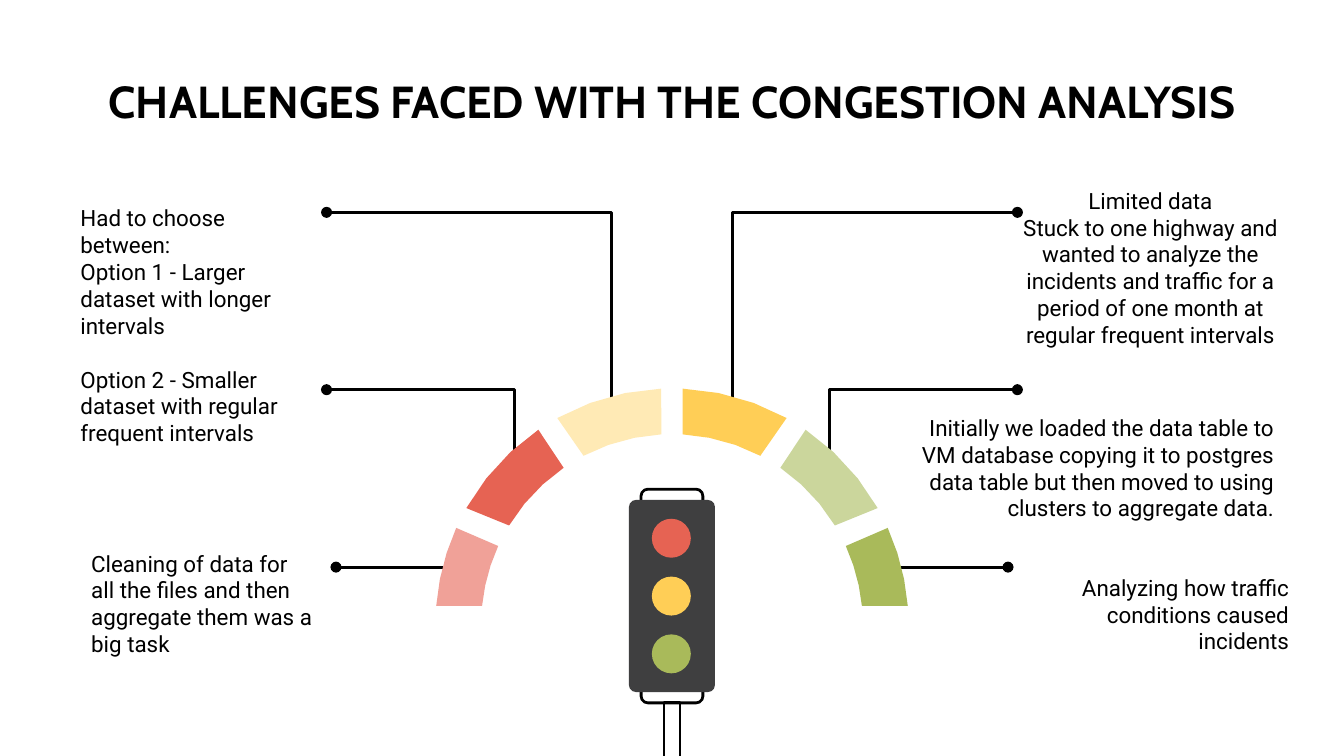
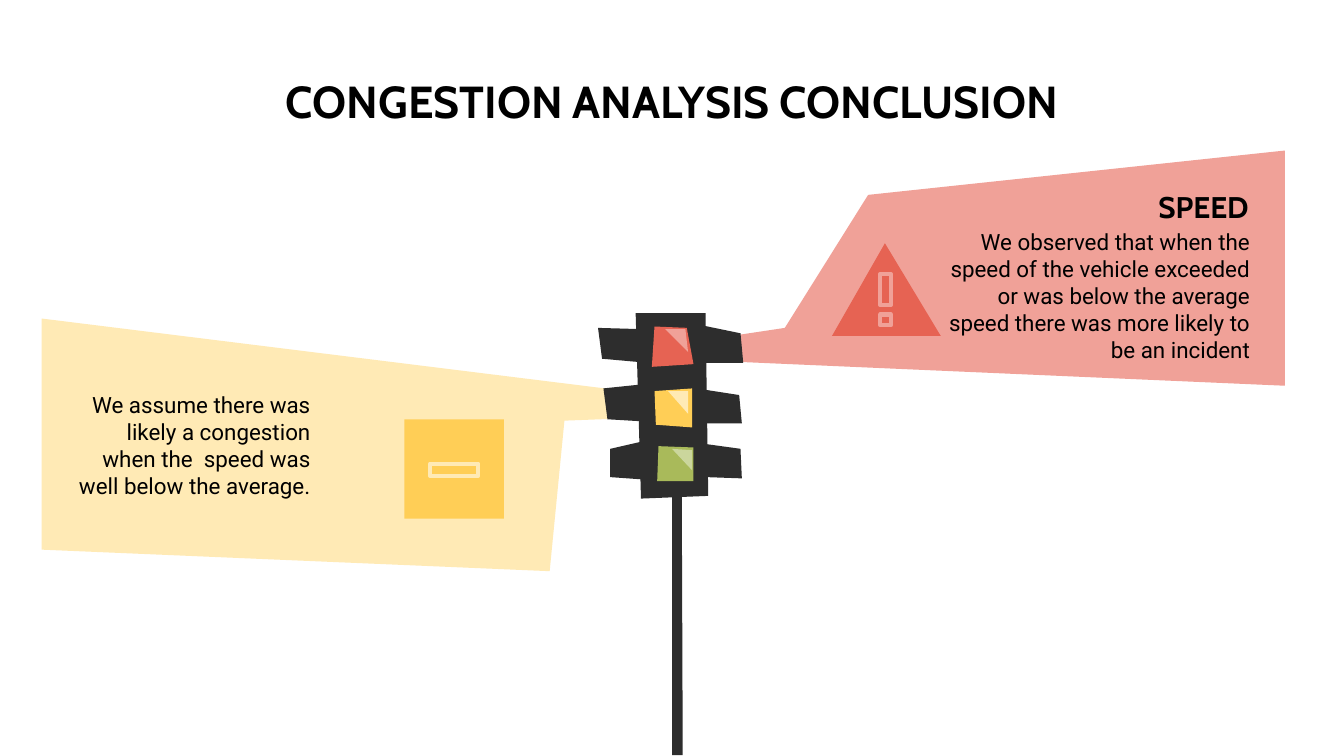
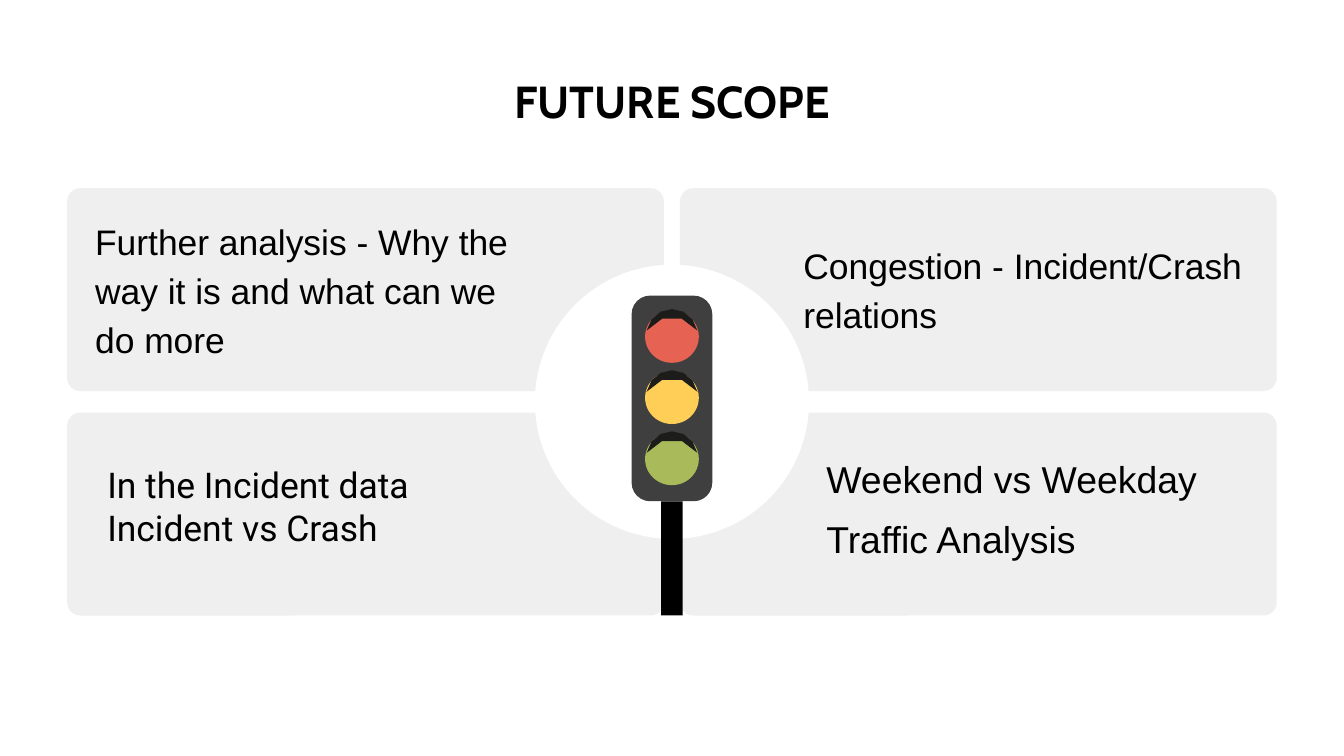
from math import cos, radians, sin

from pptx import Presentation
from pptx.dml.color import RGBColor
from pptx.enum.shapes import MSO_CONNECTOR, MSO_SHAPE
from pptx.enum.text import MSO_ANCHOR, PP_ALIGN
from pptx.oxml.ns import qn
from pptx.oxml.xmlchemy import OxmlElement
from pptx.util import Inches, Pt

LEFT, CENTER, RIGHT = PP_ALIGN.LEFT, PP_ALIGN.CENTER, PP_ALIGN.RIGHT
TOP, MIDDLE = MSO_ANCHOR.TOP, MSO_ANCHOR.MIDDLE
STRAIGHT = MSO_CONNECTOR.STRAIGHT
RECTANGLE, OVAL = MSO_SHAPE.RECTANGLE, MSO_SHAPE.OVAL
ROUNDED, TRIANGLE = MSO_SHAPE.ROUNDED_RECTANGLE, MSO_SHAPE.ISOSCELES_TRIANGLE
ROUNDED_TOP = MSO_SHAPE.ROUND_2_SAME_RECTANGLE

COLORS = {
    "black": "000000", "white": "FFFFFF", "card": "EFEFEF",
    "red": "E66353", "yellow": "FFCE56", "green": "A9BA5A",
    "light red": "F0A198", "light yellow": "FFEAB5", "light green": "CBD69C",
    "housing": "3F3F40", "silhouette": "2D2D2D", "hood": "1C1C1B",
}
LAMPS = ("red", "yellow", "green")
PAGE_WIDTH, PAGE_HEIGHT = Inches(10), Inches(5.625)


def rgb(name):
    return RGBColor.from_string(COLORS[name])


def paint(shape, fill=None, line=None, width=1.5):
    shape.shadow.inherit = False
    if fill:
        shape.fill.solid()
        shape.fill.fore_color.rgb = rgb(fill)
    else:
        shape.fill.background()
    if line:
        shape.line.color.rgb = rgb(line)
        shape.line.width = Pt(width)
    else:
        shape.line.fill.background()


def add_preset(page, kind, box, fill=None, line=None, width=1.5, adjustments=()):
    shape = page.shapes.add_shape(kind, *map(Inches, box))
    for index, value in enumerate(adjustments):
        shape.adjustments[index] = value
    paint(shape, fill, line, width)
    return shape


def add_outline(page, points, left=0, top=0, fill=None, line=None, close=True):
    """Draw straight segments through points measured from (left, top)."""
    places = [(Inches(left + x), Inches(top + y)) for x, y in points]
    builder = page.shapes.build_freeform(*places[0])
    builder.add_line_segments(places[1:], close=close)
    shape = builder.convert_to_shape()
    paint(shape, fill, line)
    return shape


def add_text(page, box, lines, size=12, font="Roboto", align=LEFT, anchor=TOP,
             bold=False, spacing=None):
    frame = page.shapes.add_textbox(*map(Inches, box)).text_frame
    frame.word_wrap = True
    frame.vertical_anchor = anchor
    frame.margin_left = frame.margin_right = Inches(0.1)
    frame.margin_top = frame.margin_bottom = Inches(0.1)
    frame.text = "\n".join(lines)
    for para in frame.paragraphs:
        para.alignment = align
        if spacing:
            para.line_spacing = spacing
        for span in para.runs:
            span.font.name = font
            span.font.size = Pt(size)
            span.font.bold = bold
            span.font.color.rgb = rgb("black")
    return frame


def add_page(deck):
    page = deck.slides.add_slide(deck.slide_layouts[6])
    page.background.fill.solid()
    page.background.fill.fore_color.rgb = rgb("white")
    return page


def add_title(page, title):
    add_text(page, (0.5, 0.45, 9, 0.44), [title], 24, "Cabin", CENTER, bold=True)


def arc_points(center_x, center_y, radius, start, end, steps=3):
    """Points on a circle between two angles in degrees, counterclockwise from the right."""
    angles = [radians(start + (end - start) * i / steps) for i in range(steps + 1)]
    return [(center_x + radius * cos(a), center_y - radius * sin(a)) for a in angles]


def add_oval_ends(shape):
    line = shape.element.spPr.find(qn("a:ln"))
    for tag in ("a:headEnd", "a:tailEnd"):
        end = OxmlElement(tag)
        end.set("type", "oval")
        line.append(end)


def add_leaders(page, middle):
    """Lines from the callouts to the arch, mirrored about the middle."""
    for side in (-1, 1):
        ends = (middle + side * 1.57, 4.22, middle + side * 2.5, 4.22)
        leader = page.shapes.add_connector(STRAIGHT, *map(Inches, ends))
        leader.line.color.rgb = rgb("black")
        leader.line.width = Pt(1.5)
        add_oval_ends(leader)
        leader.element.spPr.append(OxmlElement("a:effectLst"))
    for reach, top, foot in ((0.45, 1.58, 3.07), (1.17, 2.9, 3.54)):
        for side in (-1, 1):
            points = [(side * reach, foot), (side * reach, top), (side * 2.57, top)]
            add_oval_ends(add_outline(page, points, middle, line="black", close=False))


def add_arch(page, center_x, center_y):
    """Three segments on each side, given by their outer and inner angles."""
    segments = (
        ((4.6, 24.2), (5.7, 24.4), ("green", "light red")),
        ((29.6, 55.6), (31.4, 55.4), ("light green", "red")),
        ((61, 87.4), (62.4, 86.8), ("yellow", "light yellow")),
    )
    for outer, inner, colors in segments:
        points = arc_points(0, 0, 1.76, *outer) + arc_points(0, 0, 1.42, *inner[::-1])
        for side, color in zip((1, -1), colors):
            add_outline(page, [(side * x, y) for x, y in points],
                        center_x, center_y, color)


def add_framed_light(page, left, top):
    for offset, turn in ((0, 0), (1.49, 180)):
        bracket = add_preset(page, ROUNDED_TOP, (left + 0.09, top + offset, 0.46, 0.1),
                             line="black", adjustments=(0.5, 0))
        bracket.rotation = turn
    add_preset(page, ROUNDED, (left, top + 0.08, 0.64, 1.43), "housing",
               adjustments=(0.083,))
    add_preset(page, RECTANGLE, (left + 0.26, top + 1.59, 0.12, 0.41), line="black")
    for row, color in enumerate(LAMPS):
        add_preset(page, OVAL, (left + 0.17, top + 0.22 + 0.43 * row, 0.29, 0.29), color)


def build_challenges(deck):
    page = add_page(deck)
    add_title(page, "CHALLENGES FACED WITH THE CONGESTION ANALYSIS")
    callouts = (
        ((7.35, 1.29, 2.42, 1.77), CENTER, [
            "Limited data",
            "Stuck to one highway and wanted to analyze the incidents and traffic "
            "for a period of one month at regular frequent intervals"]),
        ((7.57, 4.17, 2.12, 0.9), RIGHT, [
            "Analyzing how traffic conditions caused incidents"]),
        ((6.75, 2.98, 2.83, 1.1), RIGHT, [
            "Initially we loaded the data table to VM database copying it to postgres "
            "data table but then moved to using clusters to aggregate data."]),
        ((0.58, 3.99, 1.85, 0.73), LEFT, [
            "Cleaning of data for all the files and then aggregate them was a big task"]),
    )
    for box, align, lines in callouts:
        add_text(page, box, lines, align=align)
    options = add_text(page, (0.5, 1.42, 1.85, 1.77), [
        "Had to choose between:",
        "Option 1 - Larger dataset with longer intervals",
        "Option 2 - Smaller dataset with regular frequent intervals"])
    options.paragraphs[2].space_before = Pt(14.5)
    add_leaders(page, 5)
    add_arch(page, 5, 4.65)
    add_framed_light(page, 4.68, 3.64)


def add_speed_beam(page, left, top):
    add_outline(page, [(0.01, 1.38), (0.41, 1.32), (1.03, 0.33), (4.13, 0),
                       (4.13, 1.75), (0, 1.57)], left, top, "light red")
    add_text(page, (left + 2.03, top + 0.27, 1.93, 0.3), ["SPEED"], 16, "Cabin",
             RIGHT, MIDDLE, bold=True)
    add_text(page, (left + 1.52, top + 0.57, 2.45, 1.02), [
        "We observed that when the speed of the vehicle exceeded or was below the "
        "average speed there was more likely to be an incident"],
        align=RIGHT, anchor=MIDDLE)
    add_preset(page, TRIANGLE, (left + 0.76, top + 0.69, 0.81, 0.69), "red",
               adjustments=(0.487,))
    for offset, height in ((0.92, 0.23), (1.22, 0.08)):
        add_preset(page, RECTANGLE, (left + 1.12, top + offset, 0.08, height),
                   "red", "light red", 2.25)


def add_congestion_beam(page, left, top):
    add_outline(page, [(0, 0), (0, 1.72), (3.78, 1.88), (3.89, 0.76),
                       (4.42, 0.74), (4.35, 0.54)], left, top, "light yellow")
    add_preset(page, RECTANGLE, (left + 2.7, top + 0.75, 0.74, 0.74), "yellow")
    add_preset(page, RECTANGLE, (left + 2.89, top + 1.08, 0.36, 0.09),
               line="light yellow", width=2.25)
    add_text(page, (left + 0.17, top + 0.36, 1.93, 1.16), [
        "We assume there was likely a congestion when the  speed was well below "
        "the average."], align=RIGHT, anchor=MIDDLE)


def add_crooked_light(page, left, top):
    body = [(0.28, 0), (0.32, 1.38), (0.82, 1.36), (0.8, 0)]
    pole = [(0.55, 0.53), (0.55, 3.29), (0.63, 3.29), (0.62, 0.53)]
    visors = [
        [(0, 0.11), (0.03, 0.34), (0.37, 0.37), (0.35, 0.12)],
        [(0.33, 0.53), (0.04, 0.56), (0.07, 0.79), (0.41, 0.81)],
        [(0.35, 0.95), (0.09, 1.01), (0.09, 1.22), (0.37, 1.24)],
        [(0.77, 0.97), (0.78, 1.22), (1.07, 1.23), (1.06, 1.01)],
        [(0.73, 0.56), (0.74, 0.82), (1.07, 0.82), (1.05, 0.61)],
        [(0.77, 0.09), (0.74, 0.37), (1.08, 0.37), (1.06, 0.15)],
    ]
    lenses = [
        [(0.66, 0.11), (0.42, 0.1), (0.4, 0.4), (0.71, 0.38)],
        [(0.42, 0.58), (0.7, 0.56), (0.7, 0.85), (0.43, 0.83)],
        [(0.45, 0.99), (0.71, 1), (0.71, 1.25), (0.44, 1.25)],
    ]
    shines = [
        [(0.5, 0.12), (0.65, 0.12), (0.67, 0.29)],
        [(0.52, 0.58), (0.67, 0.58), (0.67, 0.75)],
        [(0.55, 1.01), (0.7, 1.02), (0.7, 1.17)],
    ]
    for points in [body, *visors, pole]:
        add_outline(page, points, left, top, "silhouette")
    for color, lens, shine in zip(LAMPS, lenses, shines):
        add_outline(page, lens, left, top, color)
        add_outline(page, shine, left, top, f"light {color}")


def build_conclusion(deck):
    page = add_page(deck)
    add_speed_beam(page, 5.43, 1.12)
    add_congestion_beam(page, 0.31, 2.37)
    add_title(page, "CONGESTION ANALYSIS CONCLUSION")
    add_crooked_light(page, 4.45, 2.33)


def add_hooded_light(page, left, top):
    middle = left + 0.3
    add_preset(page, ROUNDED, (left, top, 0.6, 1.53), "housing", adjustments=(0.23,))
    hood = arc_points(0, 0.19, 0.19, 10, 170, 6) + arc_points(0, 0.29, 0.23, 146, 34)
    for row, color in enumerate(LAMPS):
        lamp_top = top + 0.11 + 0.455 * row
        add_preset(page, OVAL, (middle - 0.2, lamp_top, 0.4, 0.39), color)
        add_outline(page, hood, middle, lamp_top - 0.01, "hood")
    add_preset(page, RECTANGLE, (middle - 0.08, top + 1.53, 0.16, 0.85), "black")


def build_future_scope(deck):
    page = add_page(deck)
    for left in (0.5, 5.06):
        for top in (1.4, 3.07):
            add_preset(page, ROUNDED, (left, top, 4.44, 1.51), "card",
                       adjustments=(0.065,))
    add_preset(page, OVAL, (3.98, 1.97, 2.04, 2.04), "white")
    add_title(page, "FUTURE SCOPE")
    ideas = (
        ((0.7, 3.31, 2.58, 0.91), 19, "Roboto", None,
         "In the Incident data Incident vs Crash"),
        ((6.05, 3.18, 3.02, 1.1), 20, "Arial", 1.34,
         "Weekend vs Weekday Traffic Analysis"),
        ((5.88, 1.8, 3.63, 0.67), 19, "Arial", 1.15,
         "Congestion - Incident/Crash relations"),
        ((0.61, 1.55, 3.37, 1.17), 19, "Arial", 1.15,
         "Further analysis - Why the way it is and what can we do more"),
    )
    for box, size, font, spacing, idea in ideas:
        add_text(page, box, [idea], size, font, anchor=MIDDLE, spacing=spacing)
    add_hooded_light(page, 4.7, 2.2)


def main():
    deck = Presentation()
    deck.slide_width, deck.slide_height = PAGE_WIDTH, PAGE_HEIGHT
    build_challenges(deck)
    build_conclusion(deck)
    build_future_scope(deck)
    deck.save("out.pptx")


if __name__ == "__main__":
    main()
